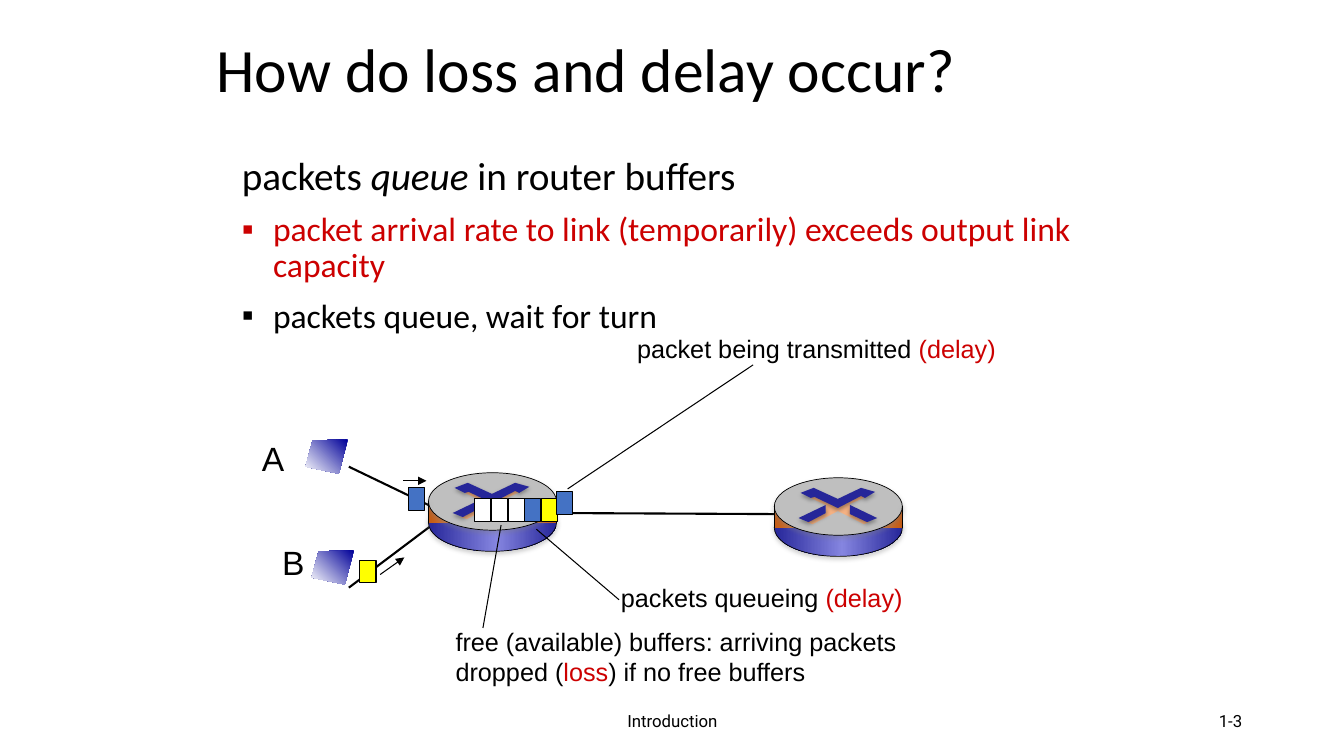
from pptx import Presentation
from pptx.dml.color import RGBColor
from pptx.enum.shapes import MSO_CONNECTOR as Link, MSO_SHAPE as Preset
from pptx.enum.text import MSO_ANCHOR as Anchor, MSO_AUTO_SIZE as AutoSize, PP_ALIGN as Align
from pptx.oxml import parse_xml
from pptx.oxml.ns import nsdecls, qn
from pptx.util import Inches, Pt

THEME = {
    "ink": "000000", "alert": "CC0000", "blue": "4472C4", "yellow": "FFFF00",
    "free": "FFFFFF", "lid": "BFBFBF", "cross": "262699", "glow": "F4B183",
    "side": [(0, "262699"), (53, "8585E0"), (100, "262699")],
    "band": [(0, "C55A11"), (53, "F4B183"), (100, "C55A11")],
    "host": [(0, "000099"), (100, "FFFFFF")],
    "text": "Calibri", "label": "Arial", "foot": "Roboto",
    "title": 44, "lead": 28, "bullet": 24, "host_name": 24, "callout": 18, "footer": 12,
    "link": 1.5, "thin": 0.75, "rim": 0.5,
}

TITLE = [[("How do loss and delay occur?", {})]]
LEAD = [("packets ", {}), ("queue", {"italic": True}), (" in router buffers", {})]
BULLETS = [
    ("packet arrival rate to link (temporarily) exceeds output link capacity", "alert"),
    ("packets queue, wait for turn", "ink"),
]
RED = {"color": "alert"}
CALLOUTS = [
    ((6.22, 3.26, 3.76, 0.4), [[("packet being transmitted ", {}), ("(delay)", RED)]],
     (7.47, 3.62), (5.63, 4.85)),
    ((6.06, 5.73, 2.99, 0.4), [[("packets queueing ", {}), ("(delay)", RED)]],
     (6.14, 5.95), (5.32, 5.25)),
    ((4.42, 6.16, 4.65, 0.7),
     [[("free (available) buffers: arriving packets", {})],
      [("dropped (", {}), ("loss", RED), (") if no free buffers", {})]],
     (4.79, 6.23), (4.97, 5.21)),
]
FOOTERS = [((4.42, 6.95, 4.5, 0.4), "Introduction", Align.CENTER),
           ((9.42, 6.95, 3, 0.4), "1-3", Align.RIGHT)]

LINKS = [((3.46, 4.63), (4.27, 5.02)), ((5.57, 5.09), (7.68, 5.1)), ((3.46, 5.83), (4.27, 5.22))]
MOTION_ARROWS = [((4, 4.77), (4.23, 4.77)), ((3.77, 5.7), (4.01, 5.53))]
ROUTERS = [(4.25, 4.69), (7.68, 4.74)]
HOSTS = [("A", (2.5, 4.29, 0.44, 0.51), (3.03, 4.36)), ("B", (2.7, 5.33, 0.42, 0.5), (3.09, 5.46))]
HOST_OUTLINE = [(0.42, 0), (0.07, 0.01), (0, 0.27), (0.33, 0.34)]

BUFFER = ["free", "free", "free", "blue", "yellow"]
BUFFER_LEFT, BUFFER_TOP, BUFFER_PITCH = 4.71, 4.95, 0.165
PACKET = (0.16, 0.22)
MOVING_PACKETS = [((5.52, 4.88), "blue"), ((4.05, 4.84), "blue"), ((3.57, 5.56), "yellow")]

ROUTER_WIDTH, DISC_HEIGHT, DISC_DEPTH = 1.27, 0.57, 0.21
CROSS_GLOW = [(0.63, 0.33), (0.38, 0.46), (0.32, 0.44), (0.51, 0.35), (0.51, 0.27), (0.36, 0.2),
              (0.41, 0.18), (0.63, 0.28), (0.85, 0.17), (0.91, 0.19), (0.75, 0.26), (0.78, 0.37),
              (0.94, 0.44), (0.89, 0.46)]
CROSS_PARTS = [
    [(0.26, 0.15), (0.39, 0.1), (0.63, 0.21), (0.86, 0.1), (1, 0.14), (0.9, 0.2),
     (0.86, 0.18), (0.63, 0.3), (0.4, 0.19), (0.36, 0.2)],
    [(0.75, 0.27), (1.02, 0.4), (0.92, 0.44), (0.75, 0.36)],
    [(0.51, 0.27), (0.51, 0.35), (0.34, 0.44), (0.24, 0.4)],
]


def rgb(name):
    return RGBColor.from_string(THEME[name])


def set_effects(shape, shadow=None):
    color, opacity = shadow or (None, 0)
    body = (f'<a:outerShdw blurRad="{Pt(3.1)}" dist="{Pt(1.8)}" dir="5400000" rotWithShape="0">'
            f'<a:srgbClr val="{color}"><a:alpha val="{opacity * 1000}"/></a:srgbClr>'
            '</a:outerShdw>') if shadow else ""
    shape._element.spPr.append(parse_xml(f'<a:effectLst {nsdecls("a")}>{body}</a:effectLst>'))


def paint(shape, fill, line=None, angle=0, shadow=None):
    if isinstance(THEME[fill], list):
        shape.fill.gradient()
        stops = "".join(f'<a:gs pos="{place * 1000}"><a:srgbClr val="{color}"/></a:gs>'
                        for place, color in THEME[fill])
        gradient = shape._element.spPr.find(qn("a:gradFill"))
        gradient.replace(gradient.find(qn("a:gsLst")),
                         parse_xml(f'<a:gsLst {nsdecls("a")}>{stops}</a:gsLst>'))
        shape.fill.gradient_angle = angle
    else:
        shape.fill.solid()
        shape.fill.fore_color.rgb = rgb(fill)
    if line:
        shape.line.color.rgb = rgb("ink")
        shape.line.width = Pt(THEME[line])
    else:
        shape.line.fill.background()
    set_effects(shape, shadow)


def add_preset(parent, preset, place, fill, **look):
    shape = parent.shapes.add_shape(preset, *map(Inches, place))
    paint(shape, fill, **look)


def add_outline(parent, origin, points, fill, **look):
    corners = [(Inches(origin[0] + x), Inches(origin[1] + y)) for x, y in points]
    builder = parent.shapes.build_freeform(*corners[0])
    builder.add_line_segments(corners[1:], close=True)
    paint(builder.convert_to_shape(), fill, **look)


def add_line(parent, start, end, width, arrow=False, shadow=None):
    line = parent.shapes.add_connector(Link.STRAIGHT, *map(Inches, (*start, *end)))
    line.line.color.rgb = rgb("ink")
    line.line.width = Pt(THEME[width])
    if arrow:
        line.line._get_or_add_ln().append(
            parse_xml(f'<a:tailEnd {nsdecls("a")} type="triangle"/>'))
    set_effects(line, shadow)


def add_text(page, place, paragraphs, font="label", size="callout", align=Align.LEFT,
             anchor=Anchor.TOP, wrap=False, spacing=None):
    box = page.shapes.add_textbox(*map(Inches, place))
    frame = box.text_frame
    frame.word_wrap = wrap
    frame.auto_size = AutoSize.NONE if wrap else AutoSize.SHAPE_TO_FIT_TEXT
    frame.vertical_anchor = anchor
    for index, spans in enumerate(paragraphs):
        para = frame.add_paragraph() if index else frame.paragraphs[0]
        para.alignment = align
        if spacing:
            para.line_spacing = spacing
        for words, look in spans:
            span = para.add_run()
            span.text = words
            span.font.name = THEME[font]
            span.font.size = Pt(THEME[look.get("size", size)])
            span.font.italic = look.get("italic", False)
            span.font.color.rgb = rgb(look.get("color", "ink"))
    return frame


def add_bullet(para, indent):
    props = para._p.get_or_add_pPr()
    props.set("marL", str(Inches(indent)))
    props.set("indent", str(-Inches(indent)))
    para.space_before = Pt(10)
    props.append(parse_xml(f'<a:buFont {nsdecls("a")} typeface="Arial"/>'))
    props.append(parse_xml(f'<a:buChar {nsdecls("a")} char="▪"/>'))


def add_router(page, left, top):
    router = page.shapes.add_group_shape()
    soft, rim_soft = ("808080", 35), ("808080", 38)
    disc = (ROUTER_WIDTH, DISC_HEIGHT)
    band_top = top + DISC_HEIGHT / 2
    add_preset(router, Preset.OVAL, (left, top + DISC_DEPTH, *disc), "side", line="rim", shadow=soft)
    add_preset(router, Preset.RECTANGLE, (left, band_top, ROUTER_WIDTH, DISC_DEPTH), "band", angle=180)
    add_preset(router, Preset.OVAL, (left, top, *disc), "lid", line="rim", shadow=soft)
    add_outline(router, (left, top), CROSS_GLOW, "glow")
    for part in CROSS_PARTS:
        add_outline(router, (left, top), part, "cross", shadow=("000000", 35))
    for x in (left, left + ROUTER_WIDTH):
        add_line(router, (x, top + 0.5), (x, top + 0.28), "rim", shadow=rim_soft)


def main():
    deck = Presentation()
    deck.slide_width, deck.slide_height = Inches(13.33), Inches(7.5)
    page = deck.slides.add_slide(deck.slide_layouts[6])

    for start, end in LINKS:
        add_line(page, start, end, "link")
    for left, top in ROUTERS:
        add_router(page, left, top)
    for name, place, origin in HOSTS:
        add_text(page, place, [[(name, {})]], size="host_name")
        add_outline(page, origin, HOST_OUTLINE, "host", angle=225)

    buffered = [((BUFFER_LEFT + slot * BUFFER_PITCH, BUFFER_TOP), fill)
                for slot, fill in enumerate(BUFFER)]
    for corner, fill in buffered + MOVING_PACKETS:
        add_preset(page, Preset.RECTANGLE, (*corner, *PACKET), fill, line="thin")
    for start, end in MOTION_ARROWS:
        add_line(page, start, end, "thin", arrow=True)

    add_text(page, (2.05, 0.09, 8.5, 1.25), TITLE, font="text", size="title",
             anchor=Anchor.MIDDLE, wrap=True, spacing=0.9)
    lead = [(words, {**look, "size": "lead"}) for words, look in LEAD]
    points = [[(words, {"color": color})] for words, color in BULLETS]
    body = add_text(page, (2.3, 1.5, 9.37, 2.31), [lead, *points], font="text",
                    size="bullet", wrap=True, spacing=0.9)
    for para in body.paragraphs[1:]:
        add_bullet(para, 0.31)

    for place, words, start, end in CALLOUTS:
        add_text(page, place, words)
        add_line(page, start, end, "thin")
    for place, words, align in FOOTERS:
        add_text(page, place, [[(words, {})]], font="foot", size="footer", align=align,
                 anchor=Anchor.MIDDLE, wrap=True)
    deck.save("out.pptx")


if __name__ == "__main__":
    main()
